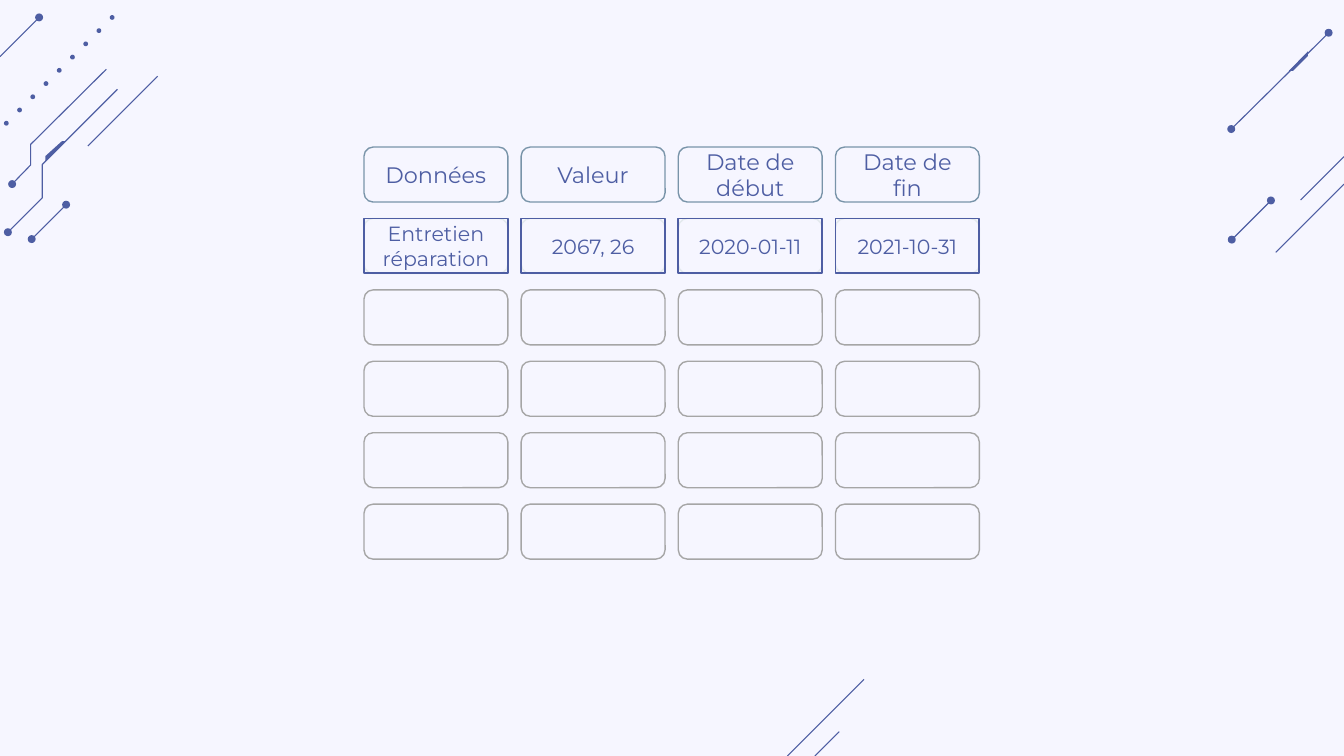
"""Build a slide with a grid of labelled boxes and circuit lines in the corners."""
from dataclasses import dataclass

from lxml.etree import SubElement
from pptx import Presentation
from pptx.dml.color import RGBColor
from pptx.enum.shapes import MSO_CONNECTOR, MSO_SHAPE
from pptx.enum.text import MSO_ANCHOR, PP_ALIGN
from pptx.oxml.ns import qn
from pptx.util import Cm, Pt


@dataclass(frozen=True)
class Theme:
    back: str = "F6F6FF"
    ink: str = "4E5EA3"
    head: str = "7994A9"
    pale: str = "E3E9ED"
    grey: str = "A6A6A6"
    font: str = "Montserrat"
    head_size: float = 12
    body_size: float = 11
    thin: float = 0.6
    edge: float = 0.75
    bold: float = 1


THEME = Theme()

HEADS = ["Données", "Valeur", "Date de début", "Date de fin"]
CELLS = ["Entretien réparation", "2067, 26", "2020-01-11", "2021-10-31"]
BLANK = 4

LEFT, TOP = 6.88, 2.78
WIDE, HIGH = 2.72, 1.04
STEP_X, STEP_Y = 2.97, 1.35

LINES = [
    [(24.58, 3.78), (25.4, 2.96)],
    [(24.11, 4.77), (25.4, 3.48)],
    [(23.28, 4.53), (24.02, 3.79)],
    [(14.88, 14.29), (16.33, 12.84)],
    [(15.4, 14.29), (15.86, 13.83)],
    [(23.27, 2.44), (25.11, 0.62)],
    [(0.15, 4.39), (0.8, 3.74), (0.8, 3.11), (2.22, 1.69)],
    [(0.23, 3.48), (0.58, 3.12), (0.58, 2.73), (2.01, 1.31)],
    [(0.6, 4.52), (1.25, 3.87)],
    [(0, 1.07), (0.74, 0.33)],
    [(1.66, 2.76), (2.98, 1.44)],
]
WEDGES = [
    [(24.72, 0.97), (24.36, 1.34), (24.44, 1.34), (24.72, 1.06)],
    [(0.86, 3.05), (1.24, 2.67), (1.17, 2.67), (0.86, 2.95)],
]
NODES = [
    (24.02, 3.79), (23.28, 4.53), (25.11, 0.62), (23.27, 2.44), (0.15, 4.39),
    (0.23, 3.48), (0.6, 4.52), (1.25, 3.87), (0.74, 0.33),
]
DOTS = [(0.12 + 0.25 * i, 2.33 - 0.25 * i) for i in range(9)]


def tint(hue):
    return RGBColor.from_string(hue)


def paint(shape, fill=None, line=None, width=0):
    shape.shadow.inherit = False
    for part, hue in ((shape.fill, fill), (shape.line.fill, line)):
        if hue:
            part.solid()
            part.fore_color.rgb = tint(hue)
        else:
            part.background()
    if line:
        shape.line.width = Pt(width)


def add_path(shapes, points, close):
    spots = [(Cm(x), Cm(y)) for x, y in points]
    pen = shapes.build_freeform(*spots[0])
    pen.add_line_segments(spots[1:], close=close)
    return pen.convert_to_shape()


def add_line(shapes, points):
    if len(points) > 2:
        paint(add_path(shapes, points, False), line=THEME.ink, width=THEME.thin)
        return
    ends = [Cm(n) for spot in points for n in spot]
    line = shapes.add_connector(MSO_CONNECTOR.STRAIGHT, *ends)
    line.line.color.rgb = tint(THEME.ink)
    line.line.width = Pt(THEME.thin)
    SubElement(line._element.spPr, qn("a:effectLst"))


def add_dot(shapes, x, y, size):
    dot = shapes.add_shape(
        MSO_SHAPE.OVAL, Cm(x - size / 2), Cm(y - size / 2), Cm(size), Cm(size))
    paint(dot, fill=THEME.ink)


def add_box(shapes, kind, col, row, line, width, text="", size=0):
    box = shapes.add_shape(
        kind, Cm(LEFT + col * STEP_X), Cm(TOP + row * STEP_Y), Cm(WIDE), Cm(HIGH))
    paint(box, line=line, width=width)
    if not text:
        return
    frame = box.text_frame
    frame.word_wrap = True
    frame.vertical_anchor = MSO_ANCHOR.MIDDLE
    frame.margin_left = frame.margin_right = Cm(0.25)
    frame.margin_top = frame.margin_bottom = 0
    para = frame.paragraphs[0]
    para.text = text
    para.alignment = PP_ALIGN.CENTER
    para.font.name = THEME.font
    para.font.size = Pt(size)
    para.font.color.rgb = tint(THEME.ink)


def main():
    deck = Presentation()
    deck.slide_width, deck.slide_height = Cm(25.4), Cm(14.29)
    slide = deck.slides.add_slide(deck.slide_layouts[6])
    slide.background.fill.solid()
    slide.background.fill.fore_color.rgb = tint(THEME.back)
    shapes = slide.shapes

    for points in LINES:
        add_line(shapes, points)
    for points in WEDGES:
        paint(add_path(shapes, points, True), fill=THEME.ink)
    for size, spots in ((0.15, NODES), (0.09, DOTS)):
        for x, y in spots:
            add_dot(shapes, x, y, size)

    pill = MSO_SHAPE.FLOWCHART_ALTERNATE_PROCESS
    for col, (head, cell) in enumerate(zip(HEADS, CELLS)):
        add_box(shapes, pill, col, 0, THEME.head, THEME.edge, head, THEME.head_size)
        add_box(shapes, pill, col, 1, THEME.pale, THEME.edge)
        add_box(shapes, MSO_SHAPE.RECTANGLE, col, 1, THEME.ink, THEME.bold,
                cell, THEME.body_size)
        for row in range(2, 2 + BLANK):
            add_box(shapes, pill, col, row, THEME.grey, THEME.edge)

    deck.save("out.pptx")


if __name__ == "__main__":
    main()
